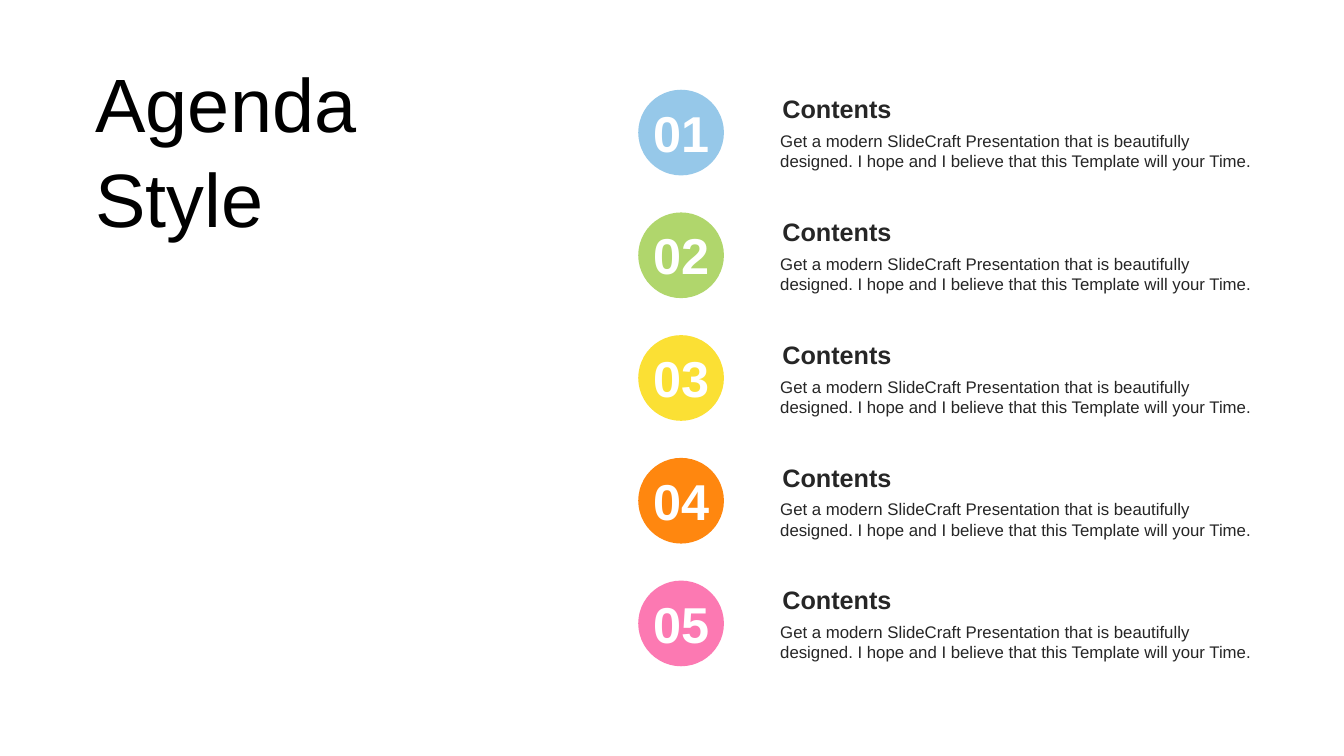
from dataclasses import dataclass

from pptx import Presentation
from pptx import util as u
from pptx.dml.color import RGBColor
from pptx.enum import shapes, text

INKS = {
    "black": "000000", "dark": "262626", "white": "FFFFFF",
    "blue": "96C8E9", "green": "B0D66C", "yellow": "FBE034",
    "orange": "FF870F", "pink": "FC79B2",
}
BODY = ("Get a modern SlideCraft Presentation that is beautifully designed. "
        "I hope and I believe that this Template will your Time.")
TOP = 0.88
STEP = 4.87 / 4


@dataclass
class Style:
    size: float
    ink: str
    bold: bool = False
    align: text.PP_ALIGN = text.PP_ALIGN.LEFT
    anchor: text.MSO_ANCHOR = text.MSO_ANCHOR.TOP
    side: float = 0.1
    line: float = 1.0


@dataclass
class Item:
    label: str
    ink: str
    head: str = "Contents"
    body: str = BODY


TITLE = Style(54, "black", anchor=text.MSO_ANCHOR.MIDDLE, line=1.05)
HEAD = Style(18, "dark", bold=True, side=0.12)
NOTE = Style(12, "dark")
DIGIT = Style(36, "white", bold=True, align=text.PP_ALIGN.CENTER, side=0.12)
ITEMS = [Item(f"{n:02}", ink) for n, ink in
         enumerate(("blue", "green", "yellow", "orange", "pink"), 1)]


def tint(name: str) -> RGBColor:
    return RGBColor.from_string(INKS[name])


def apply(target, values: dict) -> None:
    for key, value in values.items():
        setattr(target, key, value)


def write(parent, words: str, x: float, y: float, w: float, h: float,
          style: Style) -> None:
    box = parent.add_textbox(*map(u.Inches, (x, y, w, h)))
    frame = box.text_frame
    apply(frame, {
        "word_wrap": True, "vertical_anchor": style.anchor,
        "auto_size": text.MSO_AUTO_SIZE.SHAPE_TO_FIT_TEXT,
        "margin_left": u.Inches(style.side),
        "margin_right": u.Inches(style.side),
        "margin_top": u.Inches(0.05), "margin_bottom": u.Inches(0.05),
    })
    para = frame.paragraphs[0]
    apply(para, {"alignment": style.align, "line_spacing": style.line})
    run = para.add_run()
    run.text = words
    apply(run.font, {"name": "Arial", "size": u.Pt(style.size),
                     "bold": style.bold})
    run.font.color.rgb = tint(style.ink)


def draw(slide, item: Item, y: float) -> None:
    group = slide.shapes.add_group_shape().shapes
    # Heading and body
    write(group, item.body, 7.64, y + 0.37, 4.93, 0.5, NOTE)
    write(group, item.head, 7.64, y, 4.93, 0.4, HEAD)
    # Numbered disc
    disc = group.add_shape(shapes.MSO_SHAPE.OVAL,
                           *map(u.Inches, (6.33, y + 0.01, 0.85, 0.85)))
    disc.shadow.inherit = False
    disc.fill.solid()
    disc.fill.fore_color.rgb = tint(item.ink)
    disc.line.fill.background()
    write(group, item.label, 6.23, y + 0.08, 1.05, 0.71, DIGIT)


def main() -> None:
    deck = Presentation()
    apply(deck, {"slide_width": u.Inches(13.33),
                 "slide_height": u.Inches(7.5)})
    slide = deck.slides.add_slide(deck.slide_layouts[6])
    # Title
    write(slide.shapes, "Agenda Style", 0.85, 0.5, 2.97, 1.92, TITLE)
    # Agenda rows
    for row, item in enumerate(ITEMS):
        draw(slide, item, TOP + row * STEP)
    deck.save("out.pptx")


if __name__ == "__main__":
    main()
